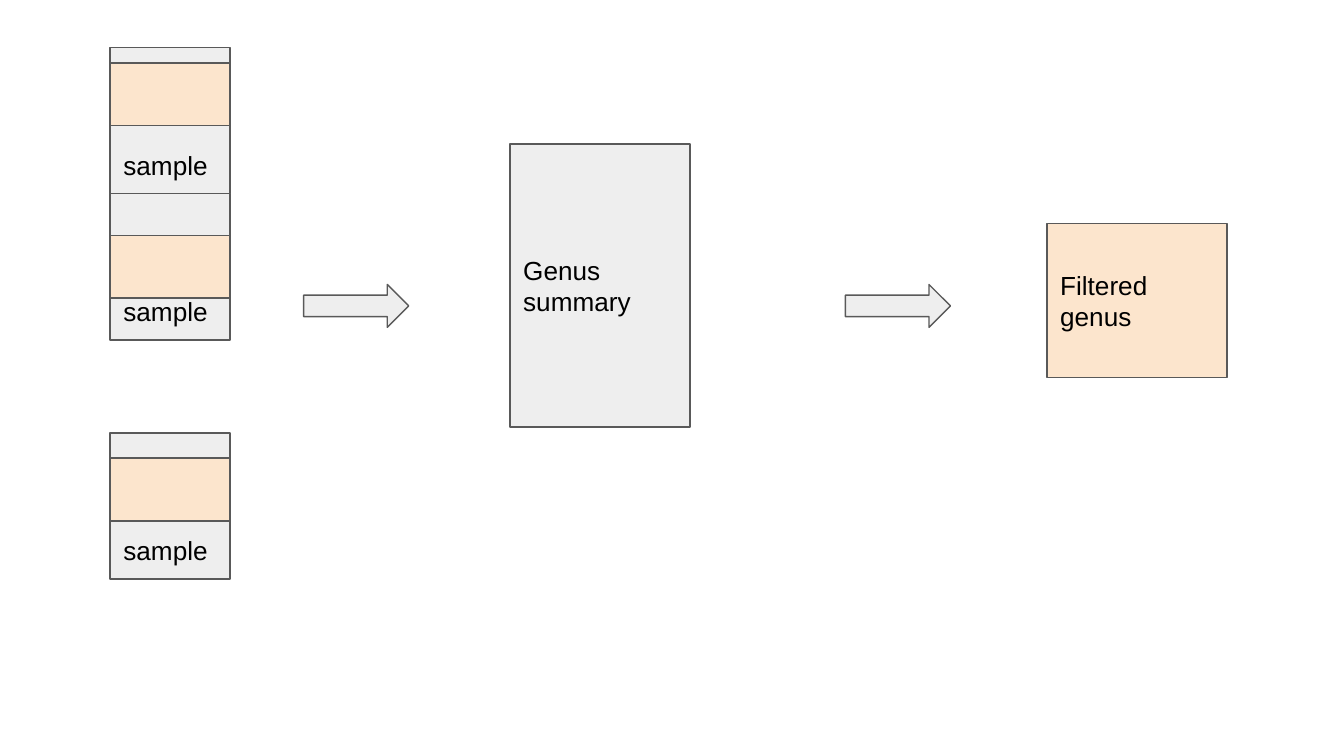
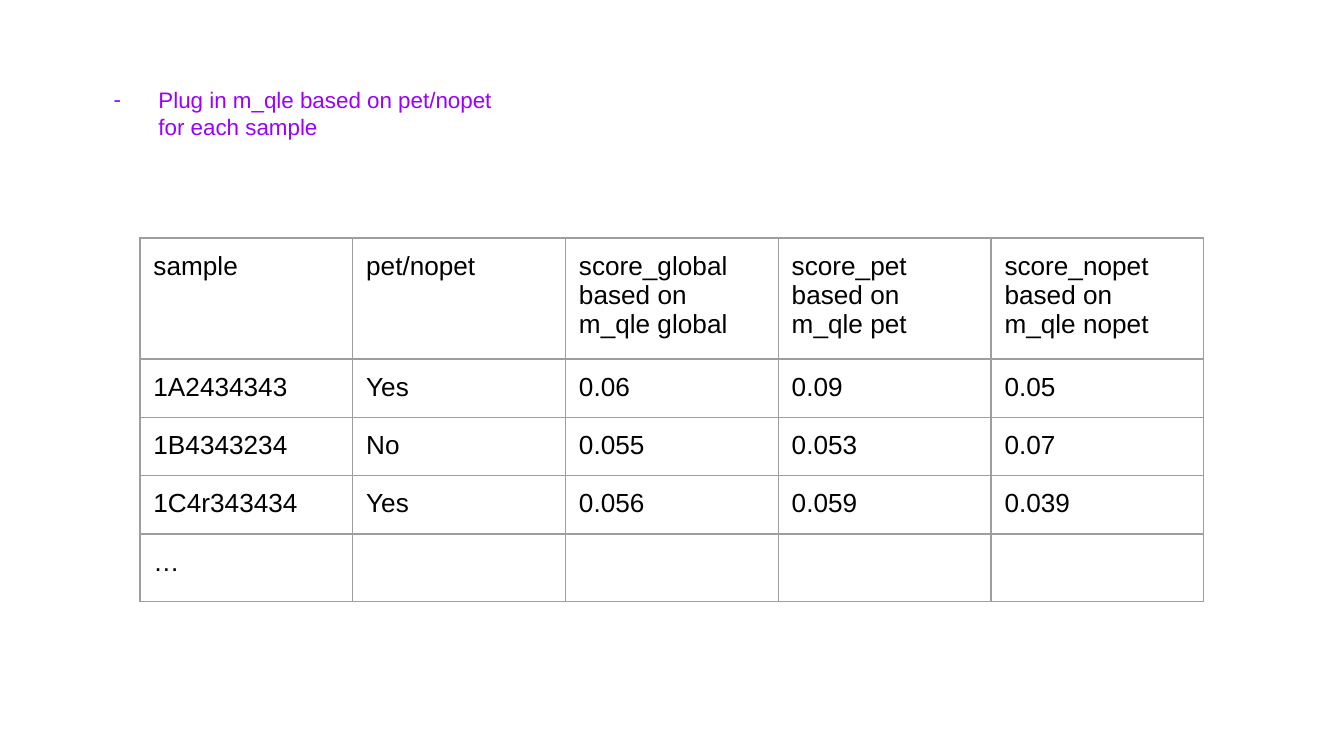
from dataclasses import dataclass
from lxml.etree import SubElement as sub
from pptx import Presentation
from pptx.dml.color import RGBColor as Rgb
from pptx.enum.shapes import MSO_AUTO_SHAPE_TYPE as Preset
from pptx.enum.text import MSO_ANCHOR as Anchor, MSO_AUTO_SIZE as AutoSize, PP_ALIGN as Align
from pptx.oxml.ns import qn
from pptx.util import Pt


@dataclass(frozen=True)
class Theme:
    """Colours, type and line sizes shared by the slides."""
    ink: str = "000000"
    neutral: str = "EEEEEE"
    selected: str = "FCE5CD"
    outline: str = "595959"
    grid: str = "9E9E9E"
    note: str = "9900FF"
    font: str = "Arial"
    body: float = 14
    small: float = 12
    hairline: float = 0.75
    inset: float = 7.2


THEME = Theme()
MARGINS = {f"margin_{side}": Pt(THEME.inset) for side in ("left", "top", "right", "bottom")}
STACK_LEFT, STACK_WIDTH, SAMPLE_HEIGHT, GENUS_HEIGHT = 59, 64.2, 78.4, 33.7
SAMPLE_TOPS = (25.4, 103.8, 231.9)
GENUS_TOPS = (33.7, 126, 245.4)
COLUMN_WIDTH, ROW_HEIGHT = 114, 30
SCORES = (
    ("sample", "pet/nopet", "score_global\vbased on m_qle global",
     "score_pet\nbased on m_qle pet", "score_nopet\nbased on m_qle nopet"),
    ("1A2434343", "Yes", "0.06", "0.09", "0.05"),
    ("1B4343234", "No", "0.055", "0.053", "0.07"),
    ("1C4r343434", "Yes", "0.056", "0.059", "0.039"),
    ("…", "", "", "", ""),
)


def apply(target, values):
    """Set each named attribute of the target."""
    for name, value in values.items():
        setattr(target, name, value)


def write(frame, wording, size=THEME.body, color=THEME.ink):
    """Fill a text frame with left-aligned text in the theme font."""
    frame.text = wording
    for paragraph in frame.paragraphs:
        paragraph.alignment = Align.LEFT
        for run in paragraph.runs:
            apply(run.font, {"name": THEME.font, "size": Pt(size)})
            run.font.color.rgb = Rgb.from_string(color)


def add_block(slide, box, wording="", fill=THEME.neutral, anchor=Anchor.MIDDLE,
              preset=Preset.RECTANGLE):
    """Add an outlined shape, with a label if there is one."""
    block = slide.shapes.add_shape(preset, *map(Pt, box))
    block.shadow.inherit = False
    block.fill.solid()
    block.fill.fore_color.rgb = Rgb.from_string(fill)
    block.line.color.rgb = Rgb.from_string(THEME.outline)
    block.line.width = Pt(THEME.hairline)
    if wording:
        apply(block.text_frame, {**MARGINS, "word_wrap": True, "vertical_anchor": anchor})
        write(block.text_frame, wording)


def add_dash_note(slide, box, wording):
    """Add a text box with one dash-bulleted point."""
    frame = slide.shapes.add_textbox(*map(Pt, box)).text_frame
    apply(frame, {**MARGINS, "word_wrap": True, "auto_size": AutoSize.SHAPE_TO_FIT_TEXT})
    write(frame, wording, THEME.small, THEME.note)
    layout = frame.paragraphs[0]._p.get_or_add_pPr()
    layout.set("marL", str(Pt(36)))
    layout.set("indent", str(Pt(-24)))
    sub(sub(layout, qn("a:buClr")), qn("a:srgbClr"), val=THEME.note)
    sub(layout, qn("a:buFont"), typeface=THEME.font)
    sub(layout, qn("a:buChar"), char="-")


def draw_borders(cell):
    """Draw the grid line on all four sides of a cell."""
    properties = cell._tc.get_or_add_tcPr()
    for side in "LRTB":
        edge = sub(properties, qn(f"a:ln{side}"), w=str(Pt(THEME.hairline)))
        sub(sub(edge, qn("a:solidFill")), qn("a:srgbClr"), val=THEME.grid)


def add_grid(slide, left, top, rows):
    """Add a plain ruled table with equal columns."""
    size = len(rows), len(rows[0])
    table = slide.shapes.add_table(*size, Pt(left), Pt(top), Pt(COLUMN_WIDTH * size[1]),
                                   Pt(ROW_HEIGHT * size[0])).table
    apply(table, {"first_row": False, "horz_banding": False})
    for column in table.columns:
        column.width = Pt(COLUMN_WIDTH)
    for row, entries in zip(table.rows, rows):
        row.height = Pt(ROW_HEIGHT)
        for cell, wording in zip(row.cells, entries):
            apply(cell, MARGINS)
            draw_borders(cell)
            cell.fill.background()
            if wording:
                write(cell.text_frame, wording)


def build_filter_flow(slide):
    """Show samples being summarised by genus and then filtered."""
    for top in SAMPLE_TOPS:
        add_block(slide, (STACK_LEFT, top, STACK_WIDTH, SAMPLE_HEIGHT), "sample",
                  anchor=Anchor.BOTTOM)
    add_block(slide, (273.2, 77.1, 96.5, 151.7), "Genus summary")
    add_block(slide, (560.9, 119.6, 96.5, 82.8), "Filtered genus", THEME.selected)
    for left in (162.7, 452.9):
        add_block(slide, (left, 152.4, 56.3, 23), preset=Preset.RIGHT_ARROW)
    for top in GENUS_TOPS:
        add_block(slide, (STACK_LEFT, top, STACK_WIDTH, GENUS_HEIGHT), fill=THEME.selected)


def build_scores(slide):
    """Show the scores of each sample under the three models."""
    add_dash_note(slide, (41.8, 39, 236, 44),
                  "Plug in m_qle based on pet/nopet for each sample")
    add_grid(slide, 75, 127.5, SCORES)


def main():
    """Build and save the presentation."""
    deck = Presentation()
    apply(deck, {"slide_width": Pt(720), "slide_height": Pt(405)})
    for build in (build_filter_flow, build_scores):
        build(deck.slides.add_slide(deck.slide_layouts[6]))
    deck.save("out.pptx")


if __name__ == "__main__":
    main()
